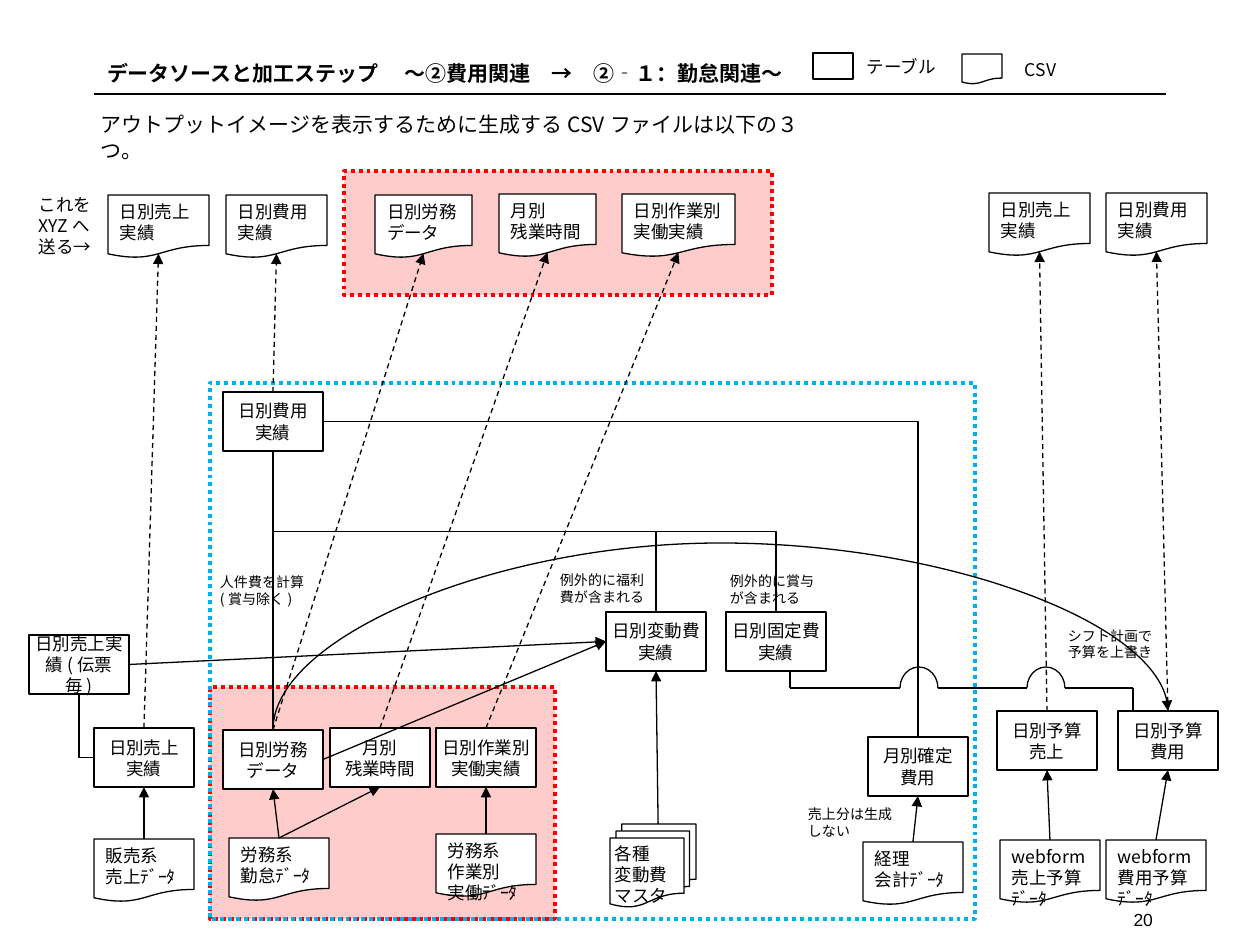
import pptx
import pptx.util
import pptx.dml.color
import pptx.enum.dml
import pptx.enum.shapes
import pptx.enum.text
import pptx.oxml.ns
from lxml import etree

SHAPE = pptx.enum.shapes.MSO_SHAPE
CONNECTOR = pptx.enum.shapes.MSO_CONNECTOR
DASH = pptx.enum.dml.MSO_LINE
ALIGN = pptx.enum.text.PP_ALIGN
ANCHOR = pptx.enum.text.MSO_ANCHOR
qn = pptx.oxml.ns.qn
EMU_PER_PX = 914400 / 126

THEME = dict(font="Noto Sans CJK JP", number_font="Arial", ink="000000", paper="FFFFFF",
             alert="FF0000", alert_fill="FFCCCC", scope="00B0F0",
             heading=12, body=10, note=8, line=0.75, frame=2.25)

# Content: places are left, top, width, height in px
TITLE = "データソースと加工ステップ\u3000 ～②費用関連\u3000→\u3000②‐１：勤怠関連～"
FRAMES = [((344, 171, 428, 124), "alert", "alert_fill"),
          ((210, 687, 345, 232), "alert", "alert_fill"),
          ((210, 383, 765, 536), "scope", None)]
TABLE_SIZE, CSV_HEIGHT = (100, 59), 63
TABLES = {
    "sales": (94, 728, ["日別売上", "実績"]),
    "cost": (223, 392, ["日別費用", "実績"]),
    "cost budget": (1118, 711, ["日別予算", "費用"]),
    "sales budget": (997, 711, ["日別予算", "売上"]),
    "labour": (223, 730, ["日別労務", "データ"]),
    "variable": (606, 612, ["日別変動費実績"]),
    "fixed": (726, 612, ["日別固定費", "実績"]),
    "monthly": (868, 737, ["月別確定", "費用"]),
    "overtime": (330, 728, ["月別", "残業時間"]),
    "work": (436, 728, ["日別作業別", "実働実績"]),
    "slips": (29, 635, ["日別売上実績(伝票毎)"]),
}
CSV_FILES = {
    "sales source": (94, 839, 100, ["販売系", "売上ﾃﾞｰﾀ"]),
    "ledger source": (863, 842, 100, ["経理", "会計ﾃﾞｰﾀ"]),
    "cost plan": (1106, 840, 100, ["webform", "費用予算ﾃﾞｰﾀ"]),
    "sales plan": (1000, 840, 100, ["webform", "売上予算ﾃﾞｰﾀ"]),
    "work source": (436, 834, 100, ["労務系", "作業別", "実働ﾃﾞｰﾀ"]),
    "attendance": (229, 838, 100, ["労務系", "勤怠ﾃﾞｰﾀ"]),
    "sales out": (108, 195, 101, ["日別売上", "実績"]),
    "cost out": (226, 195, 101, ["日別費用", "実績"]),
    "labour out": (375, 195, 97, ["日別労務", "データ"]),
    "overtime out": (499, 194, 97, ["月別", "残業時間"]),
    "work out": (622, 194, 113, ["日別作業別", "実働実績"]),
    "sales budget out": (989, 193, 101, ["日別売上", "実績"]),
    "cost budget out": (1106, 193, 101, ["日別費用", "実績"]),
}
MASTERS = (610, 824, 86, 83), ["各種", "変動費", "マスタ"]
# Arrows run from the top of the first part to the bottom of the second
SOURCE_LINKS = [("sales source", "sales"), ("sales plan", "sales budget"),
                ("cost plan", "cost budget"), ("attendance", "labour"),
                ("attendance", "overtime"), ("ledger source", "monthly"),
                ("work source", "work"), ("masters", "variable")]
OUTPUTS = ["sales", "cost", "labour", "overtime", "work", "sales budget", "cost budget"]
SIDE_LINKS = [("labour", "variable"), ("slips", "variable")]
BUDGET_Y, BUMP_LEFTS, BUMP_SIZE = 688, (900, 1027), (38, 42)
BUDGET_START, BUDGET_END = (790, 671), (1133, 710)
LABELS = [
    ((854, 50, 101, 34), "テーブル", "body"),
    ((1012, 53, 101, 34), "CSV", "body"),
    ((26, 188, 91, 77), "これをXYZへ送る→", "body"),
    ((795, 800, 111, 46), "売上分は生成しない", "note"),
    ((207, 568, 116, 46), "人件費を計算(賞与除く)", "note"),
    ((717, 567, 112, 46), "例外的に賞与が含まれる", "note"),
    ((547, 566, 112, 46), "例外的に福利費が含まれる", "note"),
    ((1055, 621, 112, 46), "シフト計画で予算を上書き", "note"),
    ((88, 106, 738, 64), "アウトプットイメージを表示するために生成するCSVファイルは以下の３つ。", "heading"),
]

deck = pptx.Presentation()
deck.slide_width, deck.slide_height = pptx.util.Inches(10), pptx.util.Inches(7.5)
page = deck.slides.add_slide(deck.slide_layouts[5])
places = {}


def px(*values):
    return [pptx.util.Emu(round(value * EMU_PER_PX)) for value in values]


def color(name):
    return pptx.dml.color.RGBColor.from_string(THEME[name])


def write(shape, lines, size="body", align=ALIGN.LEFT, anchor=ANCHOR.TOP,
          inset=(13, 6), font="font", bold=False):
    frame = shape.text_frame
    frame.text = "\n".join(lines)
    frame.word_wrap = True
    frame.auto_size = pptx.enum.text.MSO_AUTO_SIZE.NONE
    frame.vertical_anchor = anchor
    frame.margin_left, frame.margin_top = px(*inset)
    frame.margin_right, frame.margin_bottom = px(*inset)
    for para in frame.paragraphs:
        para.alignment = align
        para.font.size = pptx.util.Pt(THEME[size])
        para.font.bold = bold
        para.font.color.rgb = color("ink")
        para.font.name = THEME[font]
        latin = para._p.pPr.find(qn("a:defRPr")).find(qn("a:latin"))
        latin.addnext(latin.makeelement(qn("a:ea"), {"typeface": THEME[font]}))


def add_part(kind, place, fill="paper", line="ink", width="line"):
    shape = page.shapes.add_shape(kind, *px(*place))
    shape.shadow.inherit = False
    if fill:
        shape.fill.solid()
        shape.fill.fore_color.rgb = color(fill)
    else:
        shape.fill.background()
    shape.line.color.rgb = color(line)
    shape.line.width = pptx.util.Pt(THEME[width])
    return shape


def add_line(start, end, arrow=False, dashed=False, kind=CONNECTOR.STRAIGHT):
    line = page.shapes.add_connector(kind, *px(*start, *end))
    line.line.color.rgb = color("ink")
    line.line.width = pptx.util.Pt(THEME["line"])
    if dashed:
        line.line.dash_style = DASH.DASH
    if arrow:
        etree.SubElement(line.line._get_or_add_ln(), qn("a:tailEnd"), type="triangle")
    etree.SubElement(line._element.spPr, qn("a:effectLst"))
    return line


def add_turned(start, end, preset, turn, flips, reach=None, arrow=False):
    """Connector that leaves its start vertically: its frame is turned about its centre."""
    line = add_line(start, end, arrow, kind=CONNECTOR.ELBOW)
    (x1, y1), (x2, y2) = start, end
    width, height = abs(y2 - y1), abs(x2 - x1)
    line.left, line.top, line.width, line.height = px(
        (x1 + x2 - width) / 2, (y1 + y2 - height) / 2, width, height)
    transform = line._element.spPr.find(qn("a:xfrm"))
    for flip in ("flipH", "flipV"):
        transform.set(flip, str(int(flip in flips)))
    transform.set("rot", str(turn * 60000))
    geometry = line._element.spPr.find(qn("a:prstGeom"))
    geometry.set("prst", preset)
    if reach:
        guides = geometry.find(qn("a:avLst"))
        etree.SubElement(guides, qn("a:gd"), name="adj1", fmla=f"val {round(reach / width * 100000)}")


def site(name, side):
    kind, (x, y, w, h) = places[name]
    top = 0.56 if kind == SHAPE.FLOWCHART_MULTIDOCUMENT else 0.5
    bottom = 0.93 if kind == SHAPE.FLOWCHART_DOCUMENT else 1
    return {"top": (x + w * top, y), "bottom": (x + w / 2, y + h * bottom),
            "left": (x, y + h / 2), "right": (x + w, y + h / 2)}[side]


def add_node(name, kind, place, lines, **style):
    places[name] = kind, place
    write(add_part(kind, place), lines, **style)


# Frames, title and legend
for place, line, fill in FRAMES:
    add_part(SHAPE.RECTANGLE, place, fill, line, "frame").line.dash_style = DASH.ROUND_DOT
add_line((94, 94), (1166, 94))
title = page.shapes.title
title.left, title.top, title.width, title.height = px(94, 55, 714, 37)
write(title, [TITLE], "heading", anchor=ANCHOR.MIDDLE, bold=True)
add_part(SHAPE.RECTANGLE, (813, 53, 40, 26))
add_part(SHAPE.FLOWCHART_DOCUMENT, (962, 54, 40, 30))

# Tables and files
for name, (x, y, lines) in TABLES.items():
    add_node(name, SHAPE.RECTANGLE, (x, y, *TABLE_SIZE), lines,
             align=ALIGN.CENTER, anchor=ANCHOR.MIDDLE, inset=(5, 5))
for name, (x, y, width, lines) in CSV_FILES.items():
    add_node(name, SHAPE.FLOWCHART_DOCUMENT, (x, y, width, CSV_HEIGHT), lines, inset=(12, 6))
add_node("masters", SHAPE.FLOWCHART_MULTIDOCUMENT, *MASTERS, inset=(5, 5))

# Straight links
for source, target in SOURCE_LINKS:
    add_line(site(source, "top"), site(target, "bottom"), arrow=True)
for name in OUTPUTS:
    add_line(site(name, "top"), site(name + " out", "bottom"), arrow=True, dashed=True)
for source, target in SIDE_LINKS:
    add_line(site(source, "right"), site(target, "left"), arrow=True)
add_line(site("cost", "bottom"), site("labour", "top"))

# Bent and curved links
for name in ("variable", "fixed"):
    add_turned(site("cost", "bottom"), site(name, "top"), "bentConnector3", 270, ["flipH"])
add_turned(site("slips", "bottom"), site("sales", "left"), "bentConnector2", 270, ["flipH"])
ledger = add_line(site("cost", "right"), site("monthly", "top"), kind=CONNECTOR.ELBOW)
ledger._element.spPr.find(qn("a:prstGeom")).set("prst", "bentConnector2")
add_turned(site("labour", "top"), site("cost budget", "top"), "curvedConnector3", 90,
           ["flipH", "flipV"], reach=187, arrow=True)

# Budget line that hops over two verticals
add_line(BUDGET_START, (BUDGET_START[0], BUDGET_Y))
add_line((BUDGET_END[0], BUDGET_Y), BUDGET_END)
left = BUDGET_START[0]
for bump in BUMP_LEFTS:
    add_line((left, BUDGET_Y), (bump, BUDGET_Y))
    hop = add_part(SHAPE.ARC, (bump, BUDGET_Y - BUMP_SIZE[1] / 2, *BUMP_SIZE), None)
    hop.adjustments[0], hop.adjustments[1] = 108, 0
    left = bump + BUMP_SIZE[0]
add_line((left, BUDGET_Y), (BUDGET_END[0], BUDGET_Y))

# Labels and page number
for place, text, size in LABELS:
    write(page.shapes.add_textbox(*px(*place)), [text], size)
write(page.shapes.add_textbox(*px(903, 903, 263, 32)), ["20"], align=ALIGN.RIGHT,
      font="number_font")

deck.save("out.pptx")
